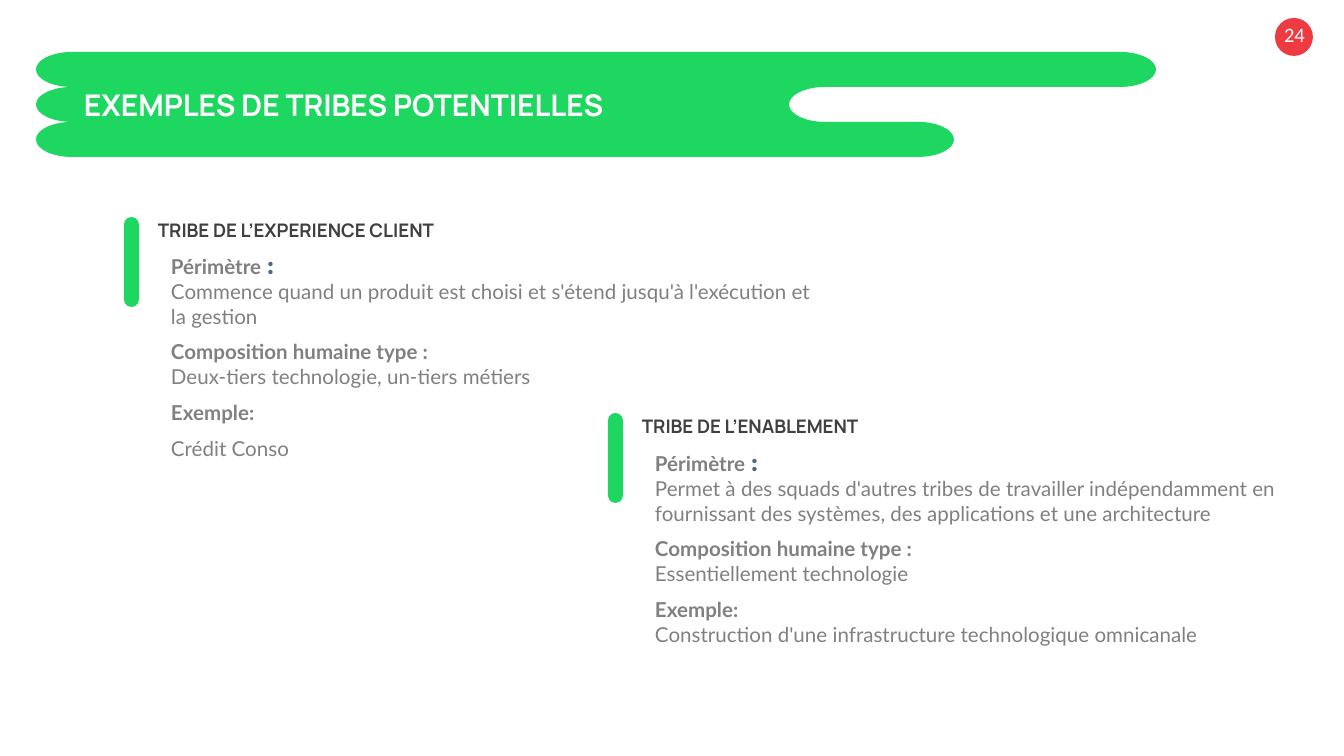
import lxml.etree
import pptx
import pptx.dml.color
import pptx.enum.shapes
import pptx.enum.text
import pptx.oxml.ns
import pptx.util

RGBColor = pptx.dml.color.RGBColor
GREEN = RGBColor(0x1D, 0xD7, 0x60)
RED = RGBColor(0xEE, 0x3B, 0x42)
WHITE = RGBColor(0xFF, 0xFF, 0xFF)
DARK = RGBColor(0x40, 0x40, 0x40)
GREY = RGBColor(0x80, 0x80, 0x80)
BLUE = RGBColor(0x45, 0x68, 0x8B)

EMU_PER_PX = 914400 / 134.4

TITLE = {"name": "Manrope", "size": 16, "bold": True, "color": WHITE}
HEADING = {"name": "Manrope", "size": 10, "bold": True, "color": DARK}
LABEL = {"name": "Lato", "size": 11, "bold": True, "color": GREY}
BODY = {"name": "Lato", "size": 11, "bold": False, "color": GREY}
COLON = {"name": "Montserrat", "size": 12, "bold": True, "color": BLUE}
NUMBER = {"name": "Calibri", "size": 11, "bold": False, "color": WHITE}

BAND_HEIGHT = 35
CAP_WIDTH = 36
CAP_POINTS = 7
# Distance from a quarter ellipse's end to its control point, from the corner.
CORNER_GAP = 0.45

# Each tribe: left, heading top, body top, heading,
# then paragraphs as (space before, spans).
PERIMETER = (0, [("Périmètre", LABEL), (" :", COLON)])
COMPOSITION = ("Composition humaine type : ", LABEL)
EXAMPLE = (6, [("Exemple:", LABEL)])
TRIBES = [
    (124, 211, 245, "TRIBE DE L’EXPERIENCE CLIENT", [
        PERIMETER,
        (0, [("Commence quand un produit est choisi et s'étend "
              "jusqu'à l'exécution et la gestion", BODY)]),
        (6, [COMPOSITION, None,
             ("Deux-tiers technologie, un-tiers métiers", BODY)]),
        EXAMPLE,
        (6, [("Crédit Conso", BODY)]),
    ]),
    (608, 407, 442, "TRIBE DE L’ENABLEMENT", [
        PERIMETER,
        (0, [("Permet à des squads d'autres tribes de travailler "
              "indépendamment en fournissant des systèmes, des "
              "applications et une architecture", BODY)]),
        (6, [COMPOSITION, None, ("Essentiellement technologie", BODY)]),
        EXAMPLE,
        (0, [("Construction d'une infrastructure technologique "
              "omnicanale", BODY)]),
    ]),
]


def px(length):
    return pptx.util.Emu(round(length * EMU_PER_PX))


def style_font(font, style):
    for key, value in style.items():
        if key == "color":
            font.color.rgb = value
        else:
            setattr(font, key, pptx.util.Pt(value) if key == "size" else value)


def paint(shape, color):
    shape.shadow.inherit = False
    shape.fill.solid()
    shape.fill.fore_color.rgb = color
    shape.line.fill.background()


def add_pill(page, area, color):
    pill = page.shapes.add_shape(
        pptx.enum.shapes.MSO_SHAPE.ROUNDED_RECTANGLE, *map(px, area))
    pill.adjustments[0] = 0.5
    paint(pill, color)


def add_text(page, area, paragraphs, insets, **settings):
    """Write paragraphs of (space before, spans); a span of None breaks the line."""
    frame = page.shapes.add_textbox(*map(px, area)).text_frame
    frame.word_wrap = True
    for side, inset in zip(("left", "top", "right", "bottom"), insets):
        setattr(frame, f"margin_{side}", px(inset))
    frame.vertical_anchor = settings.pop(
        "anchor", pptx.enum.text.MSO_ANCHOR.TOP)
    for index, (space, spans) in enumerate(paragraphs):
        para = frame.add_paragraph() if index else frame.paragraphs[0]
        if space:
            para.space_before = pptx.util.Pt(space)
        for name, value in settings.items():
            setattr(para, name, value)
        for span in spans:
            if span is None:
                para.add_line_break()
                continue
            run = para.add_run()
            run.text, style = span
            style_font(run.font, style)


def cap(edge, top, bulge, rising=False):
    """Ends and control points of a half ellipse bulging right (1) or left (-1)."""
    half = BAND_HEIGHT / 2
    base, bend = edge - bulge * CAP_WIDTH, edge - bulge * CAP_WIDTH * CORNER_GAP
    rise = half * CORNER_GAP
    bottom = top + BAND_HEIGHT
    points = [(base, top), (bend, top), (edge, top + rise), (edge, top + half),
              (edge, bottom - rise), (bend, bottom), (base, bottom)]
    return points[::-1] if rising else points


def bend_caps(shape):
    """Turn each cap's six lines into two cubic curves."""
    qn = pptx.oxml.ns.qn
    lines = list(shape._element.iter(qn("a:lnTo")))
    for start in range(0, len(lines), CAP_POINTS):
        for first in (start, start + 3):
            trio = lines[first:first + 3]
            curve = lxml.etree.Element(qn("a:cubicBezTo"))
            trio[0].addprevious(curve)
            for line in trio:
                curve.append(line[0])
                line.getparent().remove(line)


def add_banner(page, left, top, right_ends):
    """Draw stacked bands, each given by its right end and the side it bulges to."""
    tops = [top + BAND_HEIGHT * row for row in range(len(right_ends))]
    outline = []
    for row_top, (edge, bulge) in zip(tops, right_ends):
        outline += cap(edge, row_top, bulge)
    for row_top in reversed(tops):
        outline += cap(left, row_top, -1, rising=True)
    points = [(px(x), px(y)) for x, y in outline]
    builder = page.shapes.build_freeform(*points[0])
    builder.add_line_segments(points[1:], close=True)
    banner = builder.convert_to_shape()
    bend_caps(banner)
    paint(banner, GREEN)


def add_tribe(page, left, top, body_top, heading, paragraphs):
    text_left = left + 34
    add_text(page, (text_left, top, 341, 44), [(0, [(heading, HEADING)])],
             (0, 11, 0, 11), line_spacing=0.9)
    add_pill(page, (left, top + 6, 15, 90), GREEN)
    add_text(page, (text_left, body_top, 672, 224), paragraphs,
             (13, 7, 13, 7))


def main():
    deck = pptx.Presentation()
    deck.slide_width, deck.slide_height = px(1344), px(756)
    page = deck.slides.add_slide(deck.slide_layouts[6])

    add_pill(page, (1275, 18, 38, 38), RED)
    add_text(page, (1254, 14, 81, 40), [(0, [("24", NUMBER)])],
             (13, 7, 13, 7), anchor=pptx.enum.text.MSO_ANCHOR.MIDDLE,
             alignment=pptx.enum.text.PP_ALIGN.CENTER)

    add_banner(page, 36, 52, [(1156, 1), (789, -1), (954, 1)])
    add_text(page, (84, 84, 790, 82),
             [(0, [("EXEMPLES DE TRIBES POTENTIELLES", TITLE)])],
             (0, 7, 13, 7), line_spacing=0.9)

    for tribe in TRIBES:
        add_tribe(page, *tribe)
    deck.save("out.pptx")


if __name__ == "__main__":
    main()
